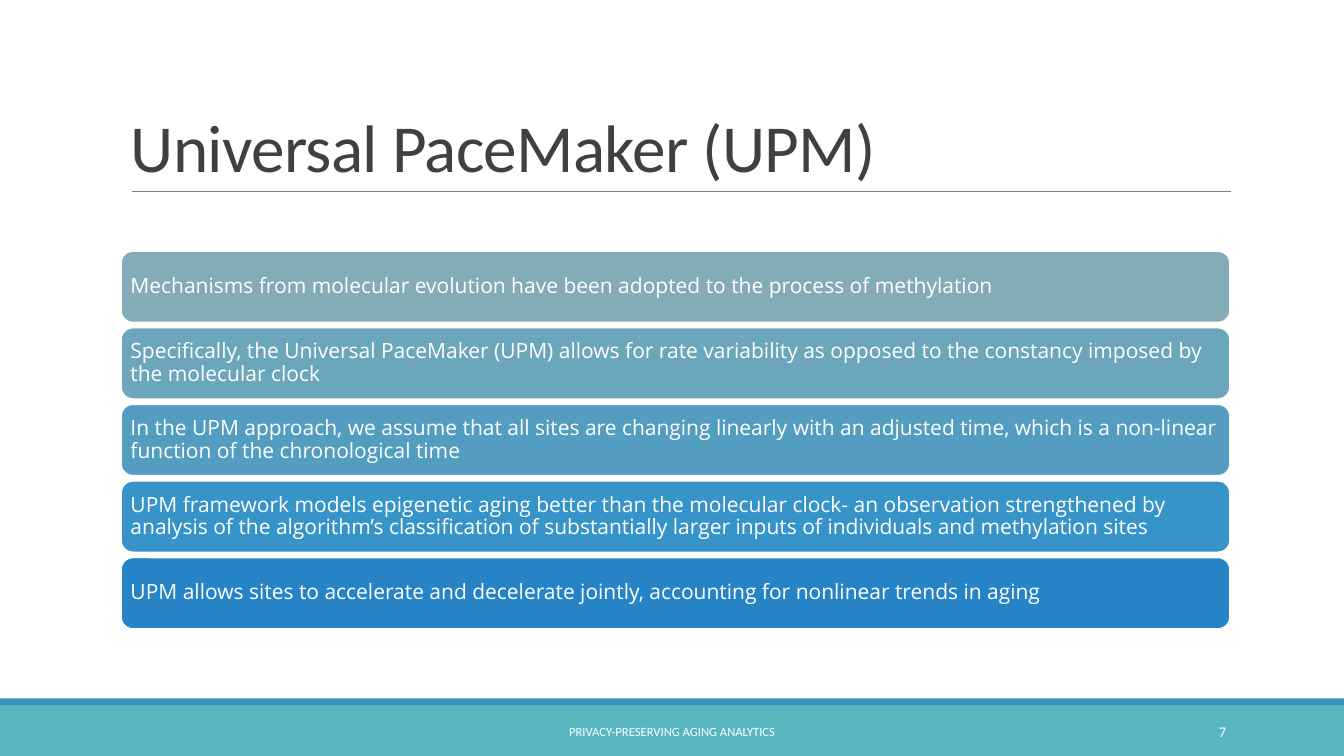
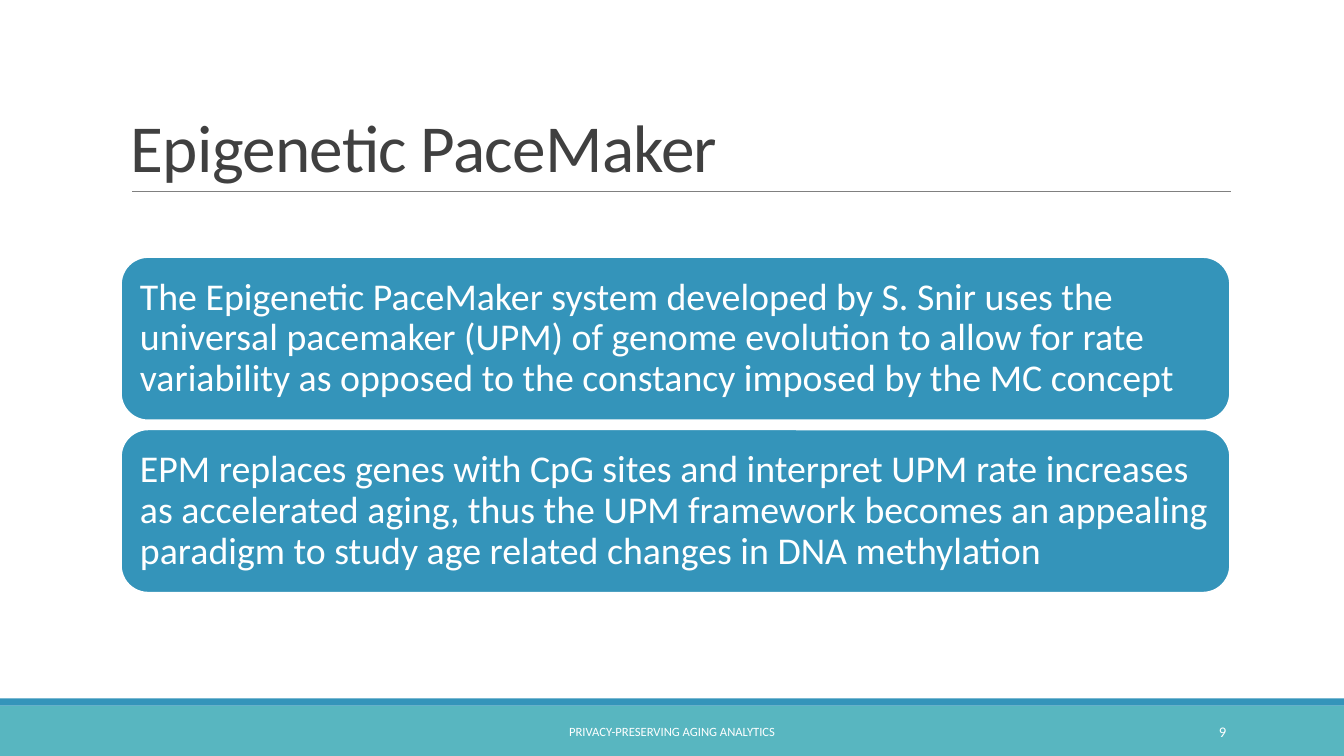
from pptx import Presentation
from pptx.dml.color import RGBColor as Rgb
from pptx.enum.shapes import MSO_CONNECTOR as Conn, MSO_SHAPE as Shape
from pptx.enum.text import MSO_ANCHOR as Anchor, PP_ALIGN as Align
from pptx.oxml.ns import qn
from pptx.util import Inches, Pt

WHITE = Rgb(0xFF, 0xFF, 0xFF)
DARK = Rgb(0x40, 0x40, 0x40)
GREY = Rgb(0x80, 0x80, 0x80)
TEAL = Rgb(0x58, 0xB6, 0xC0)
BLUE = Rgb(0x34, 0x94, 0xBA)
SHADES = [Rgb(0x84, 0xAC, 0xB6), Rgb(0x6C, 0xA6, 0xBA), Rgb(0x53, 0x9E, 0xC0),
          Rgb(0x37, 0x94, 0xC9), Rgb(0x26, 0x83, 0xC6)]
FOOTER = "PRIVACY-PRESERVING AGING ANALYTICS"
WIDE, HIGH = 13.33, 7.5
LEFT, SPAN = 1.2, 11

UPM = [
    "Mechanisms from molecular evolution have been adopted to the process of methylation",
    "Specifically, the Universal PaceMaker (UPM) allows for rate variability as opposed to "
    "the constancy imposed by the molecular clock",
    "In the UPM approach, we assume that all sites are changing linearly with an adjusted "
    "time, which is a non-linear function of the chronological time",
    "UPM framework models epigenetic aging better than the molecular clock- an observation "
    "strengthened by analysis of the algorithm’s classification of substantially larger "
    "inputs of individuals and methylation sites",
    "UPM allows sites to accelerate and decelerate jointly, accounting for nonlinear trends "
    "in aging",
]
EPM = [
    "The Epigenetic PaceMaker system developed by S. Snir uses the universal pacemaker (UPM) "
    "of genome evolution to allow for rate variability as opposed to the constancy imposed "
    "by the MC concept",
    "EPM replaces genes with CpG sites and interpret UPM rate increases as accelerated aging, "
    "thus the UPM framework becomes an appealing paradigm to study age related changes in "
    "DNA methylation",
]


def inches(*box):
    """Turn plain numbers into lengths."""
    return [Inches(n) for n in box]


def write(shape, text, size, color=WHITE, font="Calibri", align=Align.LEFT,
          anchor=Anchor.MIDDLE, space=1.0):
    """Put one styled run into a shape and return the run."""
    frame = shape.text_frame
    frame.word_wrap = True
    frame.vertical_anchor = anchor
    para = frame.paragraphs[0]
    para.alignment = align
    para.line_spacing = space
    run = para.add_run()
    run.text = text
    run.font.size = Pt(size)
    run.font.name = font
    run.font.color.rgb = color
    return run


def add_block(slide, kind, box, fill):
    """Add a flat filled shape without an outline."""
    block = slide.shapes.add_shape(kind, *inches(*box))
    block.shadow.inherit = False
    block.fill.solid()
    block.fill.fore_color.rgb = fill
    block.line.fill.background()
    return block


def add_title(slide, text, box):
    """Add the title and the rule beneath it."""
    left, top, width, height = box
    base = top + height
    rule = slide.shapes.add_connector(
        Conn.STRAIGHT, *inches(left + 0.11, base, left + width + 0.01, base))
    rule.line.color.rgb = GREY
    rule.line.width = Pt(0.5)
    props = rule._element.spPr
    props.append(props.makeelement(qn("a:effectLst"), {}))
    title = slide.shapes.add_textbox(*inches(*box))
    run = write(title, text, 48, DARK, anchor=Anchor.BOTTOM, space=0.85)
    run.font._element.set("spc", "-50")


def add_footer(slide, number, box):
    """Add the bottom bands, the footer text and the slide number."""
    left, top, width, height = box
    band = 0.07
    add_block(slide, Shape.RECTANGLE, (left, top + band, width, height - band), TEAL)
    add_block(slide, Shape.RECTANGLE, (left, top, width, band), BLUE)
    for text, size, start, span, align in (
            (FOOTER, 9, 4.03, 5.27, Align.CENTER),
            (str(number), 10.5, 10.83, 1.43, Align.RIGHT)):
        label = slide.shapes.add_textbox(*inches(left + start, top + 0.13, span, 0.4))
        write(label, text, size, align=align)


def add_cards(slide, texts, fills, box, gap, inset, size, font):
    """Stack equal rounded cards in the box."""
    left, top, width, height = box
    tall = (height - gap * (len(texts) - 1)) / len(texts)
    for i, (text, fill) in enumerate(zip(texts, fills)):
        place = (left, top + i * (tall + gap), width, tall)
        card = add_block(slide, Shape.ROUNDED_RECTANGLE, place, fill)
        card.line.color.rgb = WHITE
        card.line.width = Pt(1.25)
        frame = card.text_frame
        frame.margin_left = frame.margin_right = Inches(inset)
        frame.margin_top = frame.margin_bottom = Inches(inset)
        write(card, text, size, font=font, space=0.9)


def add_page(deck, title, number, **cards):
    """Build one slide with a title, cards and footer."""
    slide = deck.slides.add_slide(deck.slide_layouts[6])
    add_footer(slide, number, (0, 6.93, WIDE, HIGH - 6.93))
    add_title(slide, title, (LEFT, 0.31, SPAN, 1.59))
    add_cards(slide, **cards)


def main():
    """Build and save the deck."""
    deck = Presentation()
    deck.slide_width, deck.slide_height = inches(WIDE, HIGH)
    add_page(deck, "Universal PaceMaker (UPM)", 7, texts=UPM, fills=SHADES,
             box=(LEFT, 2.49, SPAN, 3.75), gap=0.05, inset=0.06, size=15,
             font="Open Sans")
    add_page(deck, "Epigenetic PaceMaker", 9, texts=EPM, fills=[BLUE] * len(EPM),
             box=(LEFT, 2.55, SPAN, 3.33), gap=0.09, inset=0.11, size=27,
             font="Calibri")
    deck.save("out.pptx")


if __name__ == "__main__":
    main()
